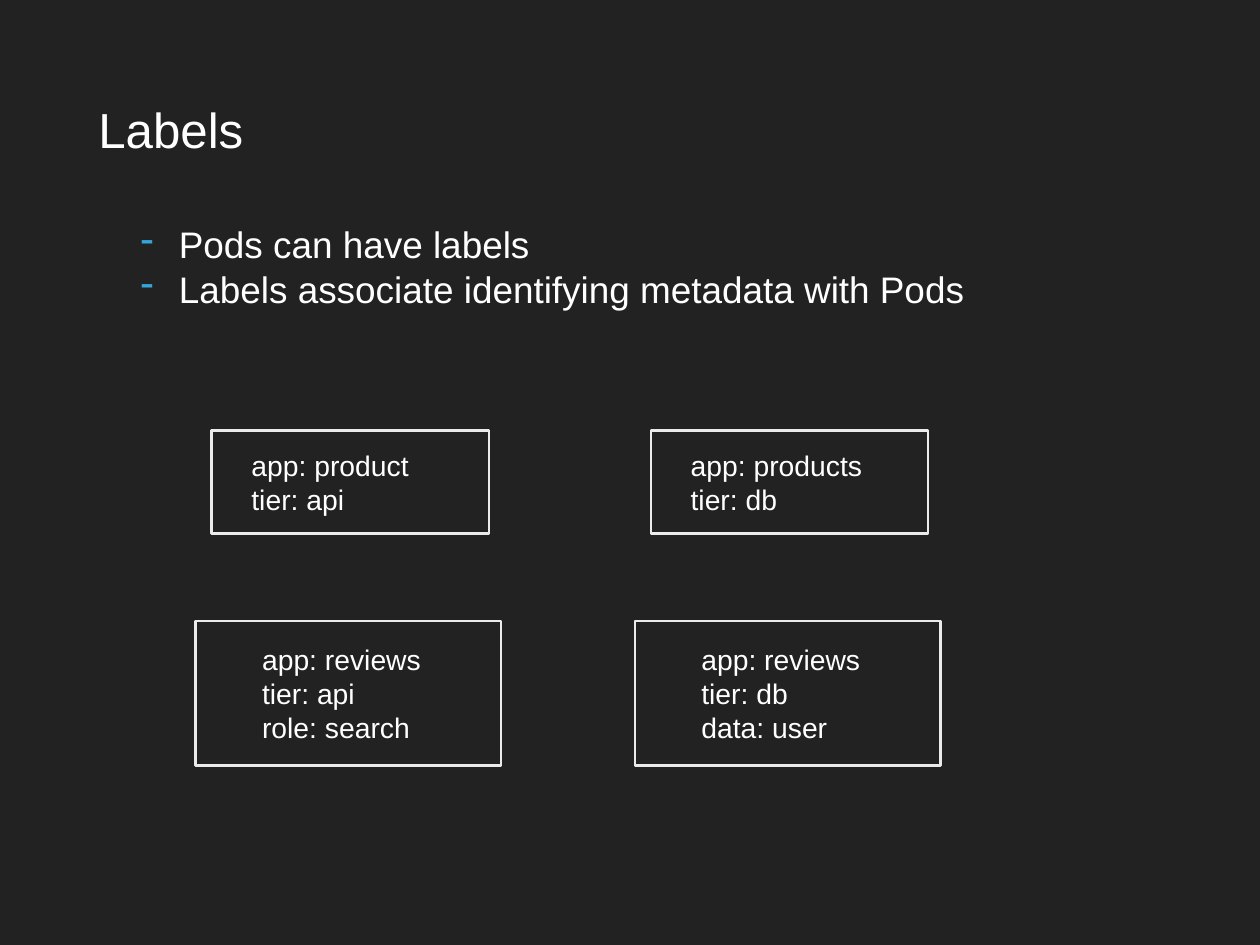
"""Builds the slide on Pod labels with four labelled boxes."""
import dataclasses

import lxml.etree
import pptx
import pptx.dml.color
import pptx.enum.shapes
import pptx.enum.text
import pptx.oxml.ns
import pptx.util

Pt = pptx.util.Pt


@dataclasses.dataclass(frozen=True)
class Theme:
    font: str = "Arial"
    background: str = "222222"
    text: str = "FFFFFF"
    outline: str = "EBEBEB"
    bullet: str = "34A5DA"
    title_size: float = 40
    body_size: float = 30
    label_size: float = 23
    line_width: float = 2
    inset: float = 4.3


class Deck:
    def __init__(self, theme, width, height):
        self.theme = theme
        self.prs = pptx.Presentation()
        self.prs.slide_width, self.prs.slide_height = Pt(width), Pt(height)
        self.slide = None

    def color(self, value):
        return pptx.dml.color.RGBColor.from_string(value)

    def add_slide(self):
        self.slide = self.prs.slides.add_slide(self.prs.slide_layouts[5])
        fill = self.slide.background.fill
        fill.solid()
        fill.fore_color.rgb = self.color(self.theme.background)

    def format_text(self, sp, text, size):
        tf = sp.text_frame
        tf.text = text
        tf.word_wrap = False
        tf.auto_size = pptx.enum.text.MSO_AUTO_SIZE.SHAPE_TO_FIT_TEXT
        tf.vertical_anchor = pptx.enum.text.MSO_ANCHOR.MIDDLE
        tf.margin_left = tf.margin_right = Pt(self.theme.inset)
        tf.margin_top = tf.margin_bottom = Pt(self.theme.inset)
        for p in tf.paragraphs:
            p.alignment = pptx.enum.text.PP_ALIGN.LEFT
            for r in p.runs:
                r.font.name = self.theme.font
                r.font.size = Pt(size)
                r.font.color.rgb = self.color(self.theme.text)

    def title(self, text, x, y, w, h):
        sp = self.slide.shapes.title
        sp.left, sp.top, sp.width, sp.height = Pt(x), Pt(y), Pt(w), Pt(h)
        self.format_text(sp, text, self.theme.title_size)

    def text(self, text, x, y, w, h, size):
        sp = self.slide.shapes.add_textbox(Pt(x), Pt(y), Pt(w), Pt(h))
        self.format_text(sp, text, size)
        return sp

    def bullets(self, items, x, y, w, h, indent):
        sp = self.text("\n".join(items), x, y, w, h, self.theme.body_size)
        qn = pptx.oxml.ns.qn
        for p in sp.text_frame.paragraphs:
            pPr = p._p.get_or_add_pPr()
            pPr.set("marL", str(Pt(indent)))
            pPr.set("indent", str(-Pt(indent)))
            clr = lxml.etree.SubElement(pPr, qn("a:buClr"))
            lxml.etree.SubElement(clr, qn("a:srgbClr"), val=self.theme.bullet)
            lxml.etree.SubElement(pPr, qn("a:buSzPct"), val="105000")
            lxml.etree.SubElement(pPr, qn("a:buChar"), char="-")

    def box(self, x, y, w, h):
        sp = self.slide.shapes.add_shape(
            pptx.enum.shapes.MSO_SHAPE.RECTANGLE, Pt(x), Pt(y), Pt(w), Pt(h))
        sp.shadow.inherit = False
        sp.fill.background()
        sp.line.color.rgb = self.color(self.theme.outline)
        sp.line.width = Pt(self.theme.line_width)


def main():
    theme = Theme()
    deck = Deck(theme, 1024, 768)
    deck.add_slide()
    deck.title("Labels", 75.6, 73, 127.4, 63.4)
    deck.bullets(
        ["Pods can have labels", "Labels associate identifying metadata with Pods"],
        110, 171.4, 697, 90, 31)

    column_gap = 357
    rows = [
        (172, 350, 225.4, 83.6, 28, 7,
         [("app: product\ntier: api", 152.6), ("app: products\ntier: db", 162.7)]),
        (159, 504.7, 248.4, 117.4, 49.7, 8.3,
         [("app: reviews\ntier: api\nrole: search", 149),
          ("app: reviews\ntier: db\ndata: user", 149)]),
    ]
    for left, top, w, h, dx, dy, pods in rows:
        for column, (labels, label_width) in enumerate(pods):
            x = left + column * column_gap
            deck.box(x, top, w, h)
            deck.text(labels, x + dx, top + dy, label_width, h - 2 * dy,
                      theme.label_size)
    deck.prs.save("out.pptx")


if __name__ == "__main__":
    main()
